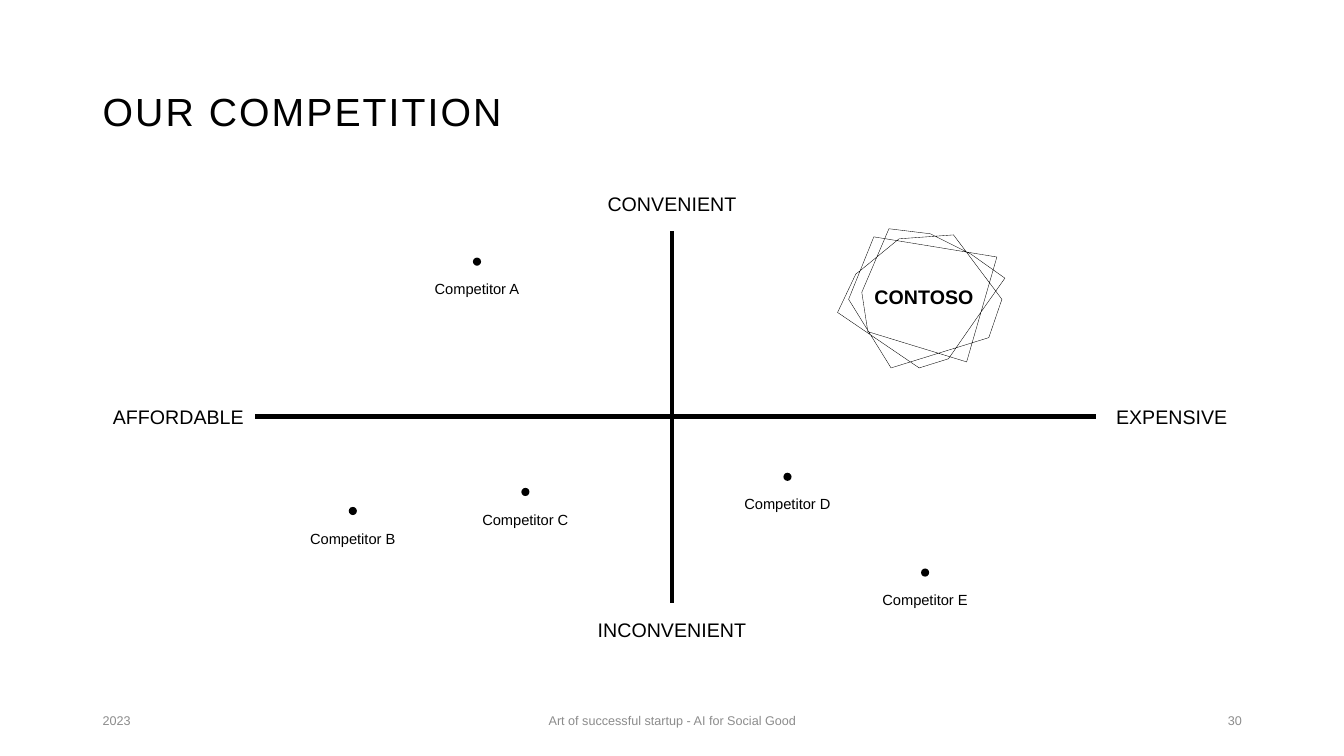
import pptx
import pptx.dml.color
import pptx.enum.shapes
import pptx.enum.text
import pptx.oxml
import pptx.util

Pt = pptx.util.Pt
ALIGN = pptx.enum.text.PP_ALIGN
BLACK = pptx.dml.color.RGBColor(0x00, 0x00, 0x00)
GREY = pptx.dml.color.RGBColor(0x8C, 0x8C, 0x8C)
FONT = "Arial"

CENTER_X, CENTER_Y = 480, 297.4
AXES = [
    (182.2, CENTER_Y, 782.6, CENTER_Y),
    (CENTER_X, 430.6, CENTER_X, 165),
]
AXIS_LABELS = [
    ("CONVENIENT", CENTER_X, 145.5),
    ("INCONVENIENT", CENTER_X, 450),
    ("AFFORDABLE", 127.4, CENTER_Y),
    ("EXPENSIVE", 837, CENTER_Y),
]
COMPETITORS = [
    ("Competitor A", 340.7, 186.9),
    ("Competitor B", 252, 365),
    ("Competitor C", 375.3, 351.4),
    ("Competitor D", 562.5, 340.6),
    ("Competitor E", 660.8, 409),
]
FOOTERS = [
    ("2023", 66.2, 216, ALIGN.LEFT),
    ("Art of successful startup - AI for Social Good", 318.2, 324, ALIGN.CENTER),
    ("30", 678.2, 216, ALIGN.RIGHT),
]
STARBURST = [
    (642.2, 170.6), (614.9, 193), (611.3, 195.8), (598.3, 223.2),
    (656.6, 262.8), (677.5, 256.3), (697, 228.2), (717.8, 198.7),
    (693.4, 181.4), (664.6, 167), (635, 163.4), (615.6, 208.8),
    (619.9, 236.9), (690.5, 258.5), (712.1, 183.6), (624.2, 169.2),
    (606.2, 213.8), (636.5, 262.8), (706.3, 241.2), (715.7, 213.8),
    (681.1, 167.8),
]


def format_text(sp, text, size, color=BLACK, align=ALIGN.CENTER, bold=False):
    tf = sp.text_frame
    tf.text = text
    tf.word_wrap = True
    tf.vertical_anchor = pptx.enum.text.MSO_ANCHOR.MIDDLE
    p = tf.paragraphs[0]
    p.alignment = align
    r = p.runs[0]
    r.font.name = FONT
    r.font.size = Pt(size)
    r.font.bold = bold
    r.font.color.rgb = color
    return p


def set_title(s, text):
    sp = s.shapes.title
    sp.left, sp.top, sp.width, sp.height = Pt(66.2), Pt(28.8), Pt(828), Pt(104.4)
    p = format_text(sp, text, 28, align=ALIGN.LEFT)
    p.line_spacing = 0.9
    p.runs[0].font._element.set("spc", "150")


def add_text(s, text, x, y, w, h, size, **style):
    sp = s.shapes.add_textbox(Pt(x), Pt(y), Pt(w), Pt(h))
    format_text(sp, text, size, **style)


def add_label(s, text, cx, cy, **style):
    w, h = 134, 39
    add_text(s, text, cx - w / 2, cy - h / 2, w, h, 14, **style)


def add_axis(s, x1, y1, x2, y2):
    line = s.shapes.add_connector(
        pptx.enum.shapes.MSO_CONNECTOR.STRAIGHT, Pt(x1), Pt(y1), Pt(x2), Pt(y2))
    line.line.color.rgb = BLACK
    line.line.width = Pt(3.5)
    line._element.spPr.append(pptx.oxml.parse_xml(
        '<a:effectLst xmlns:a="http://schemas.openxmlformats.org/drawingml/2006/main"/>'))


def add_competitor(s, name, cx, cy):
    d, w = 5.8, 93
    dot = s.shapes.add_shape(
        pptx.enum.shapes.MSO_SHAPE.OVAL, Pt(cx - d / 2), Pt(cy - d / 2), Pt(d), Pt(d))
    dot.shadow.inherit = False
    dot.fill.solid()
    dot.fill.fore_color.rgb = BLACK
    dot.line.fill.background()
    add_text(s, name, cx - w / 2, cy, w, 39, 10.5)


def add_starburst(s, points):
    corners = [(Pt(x), Pt(y)) for x, y in points]
    builder = s.shapes.build_freeform(*corners[0])
    builder.add_line_segments(corners[1:], close=True)
    sp = builder.convert_to_shape()
    sp.shadow.inherit = False
    sp.fill.background()
    sp.line.color.rgb = BLACK
    sp.line.width = Pt(0.25)


def main():
    prs = pptx.Presentation()
    prs.slide_width, prs.slide_height = Pt(960), Pt(540)
    s = prs.slides.add_slide(prs.slide_layouts[5])
    set_title(s, "OUR COMPETITION")
    for axis in AXES:
        add_axis(s, *axis)
    for text, cx, cy in AXIS_LABELS:
        add_label(s, text, cx, cy)
    for competitor in COMPETITORS:
        add_competitor(s, *competitor)
    add_starburst(s, STARBURST)
    add_label(s, "CONTOSO", 660, 212, bold=True)
    for text, x, w, align in FOOTERS:
        add_text(s, text, x, 500.4, w, 28.8, 9, color=GREY, align=align)
    prs.save("out.pptx")


if __name__ == "__main__":
    main()
